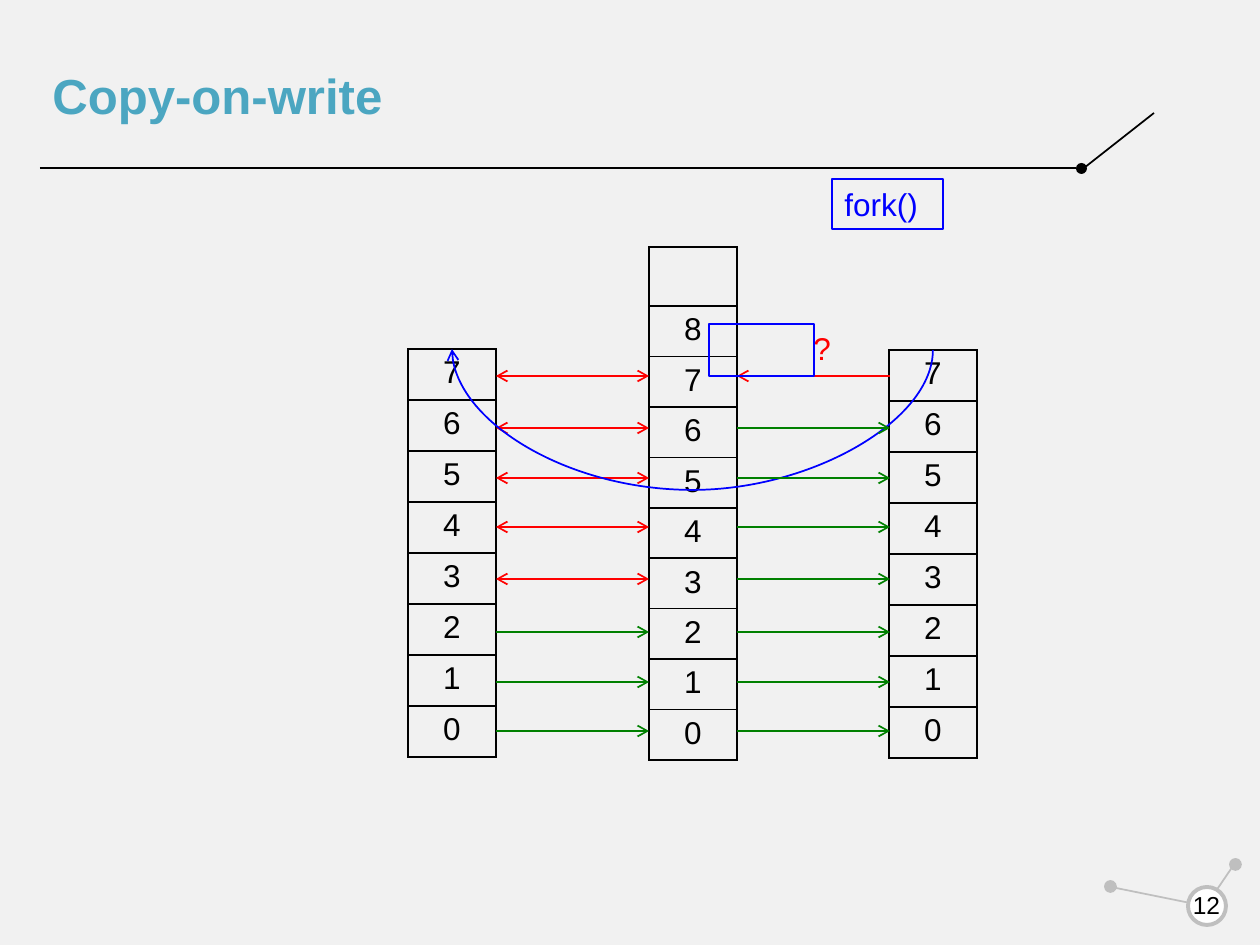
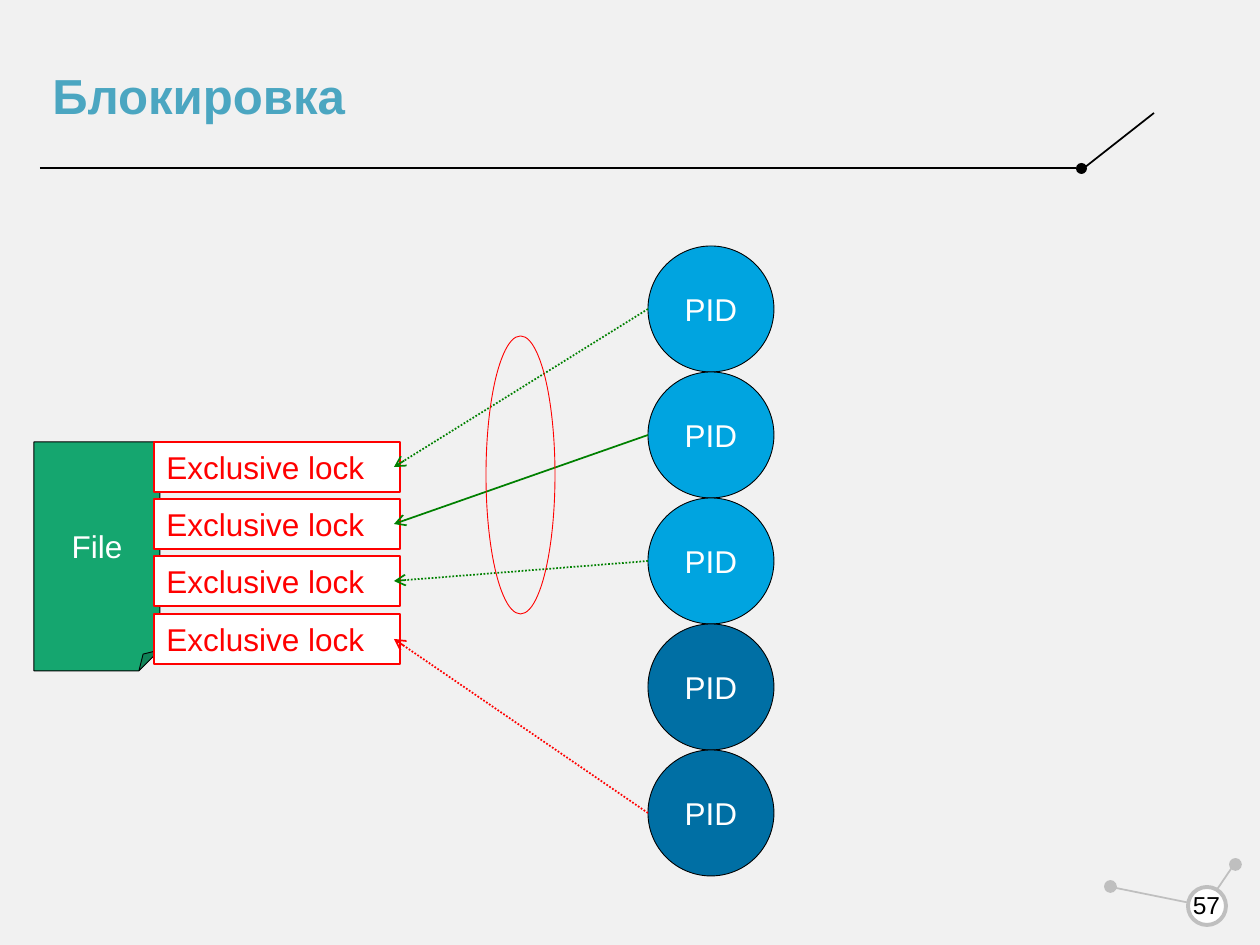
from dataclasses import dataclass

from lxml import etree
from pptx import Presentation
from pptx.dml.color import RGBColor
from pptx.enum.dml import MSO_LINE
from pptx.enum.shapes import MSO_CONNECTOR, MSO_SHAPE
from pptx.enum.text import MSO_ANCHOR, PP_ALIGN
from pptx.oxml.ns import qn
from pptx.shapes.autoshape import Shape
from pptx.shapes.connector import Connector
from pptx.slide import Slide
from pptx.util import Emu, Pt

RECT, OVAL, FOLD = MSO_SHAPE.RECTANGLE, MSO_SHAPE.OVAL, MSO_SHAPE.FOLDED_CORNER
STRAIGHT, CURVE = MSO_CONNECTOR.STRAIGHT, MSO_CONNECTOR.CURVE
LEFT, CENTER = PP_ALIGN.LEFT, PP_ALIGN.CENTER
TOP, MIDDLE = MSO_ANCHOR.TOP, MSO_ANCHOR.MIDDLE
DOT = MSO_LINE.ROUND_DOT

FONT = "Arial"
BLACK, WHITE, GREY, PAPER = "000000", "FFFFFF", "BFBFBF", "F1F1F1"
TEAL, BLUE, RED, GREEN = "4BA6C1", "0000FF", "FF0000", "008000"
LEAF, SKY, NAVY = "15A66F", "00A4E0", "006FA4"
THIN, FINE, EDGE = 0.5, 0.75, 1
PAD = (12.6, 6.3)


@dataclass(frozen=True)
class Box:
    """A place on the slide, in pixels."""
    x: int
    y: int
    w: int
    h: int


@dataclass(frozen=True)
class Words:
    """Text with its look and its place inside a box."""
    text: str
    color: str
    size: float = 18
    bold: bool = False
    align: PP_ALIGN = CENTER
    anchor: MSO_ANCHOR = MIDDLE
    pad: tuple[float, float] = PAD


@dataclass(frozen=True)
class Stack:
    """A one-column table of memory pages, top cell first."""
    box: Box
    pages: list[str]
    spare: int = 0


@dataclass(frozen=True)
class Claim:
    """An arrow from a process to a lock."""
    pid: int
    lock: int
    color: str
    dash: bool


def px(n: float) -> Emu:
    """Turn pixels into EMU."""
    return Emu(round(n * 914400 / 126))


def rgb(code: str) -> RGBColor:
    """Turn a hex string into a colour."""
    return RGBColor.from_string(code)


def spot(box: Box) -> tuple[Emu, Emu, Emu, Emu]:
    """Give the four EMU lengths of a box."""
    return px(box.x), px(box.y), px(box.w), px(box.h)


def write(shape: Shape, words: Words) -> None:
    """Put styled text into a shape."""
    frame = shape.text_frame
    frame.word_wrap = True
    frame.vertical_anchor = words.anchor
    frame.margin_left = frame.margin_right = px(words.pad[0])
    frame.margin_top = frame.margin_bottom = px(words.pad[1])
    style(frame.paragraphs[0], words)


def style(para, words: Words) -> None:
    """Fill a paragraph and set its font."""
    para.text = words.text
    para.alignment = words.align
    para.font.name = FONT
    para.font.size = Pt(words.size)
    para.font.bold = words.bold
    para.font.color.rgb = rgb(words.color)


def label(slide: Slide, box: Box, words: Words) -> None:
    """Add a plain text box."""
    write(slide.shapes.add_textbox(*spot(box)), words)


def draw(slide: Slide, kind: MSO_SHAPE, box: Box, fill: str | None = None,
         line: str | None = None, width: float = EDGE,
         words: Words | None = None) -> Shape:
    """Add a preset shape with optional fill, line and text."""
    shape = slide.shapes.add_shape(kind, *spot(box))
    shape.shadow.inherit = False
    if fill:
        shape.fill.solid()
        shape.fill.fore_color.rgb = rgb(fill)
    else:
        shape.fill.background()
    if line:
        shape.line.color.rgb = rgb(line)
        shape.line.width = Pt(width)
    else:
        shape.line.fill.background()
    if words:
        write(shape, words)
    return shape


def link(slide: Slide, start: tuple[int, int], end: tuple[int, int],
         color: str, head: bool = False, tail: bool = False,
         dash: bool = False, kind: MSO_CONNECTOR = STRAIGHT) -> Connector:
    """Add a connector with optional arrowheads and dots."""
    wire = slide.shapes.add_connector(
        kind, px(start[0]), px(start[1]), px(end[0]), px(end[1]))
    wire.line.color.rgb = rgb(color)
    wire.line.width = Pt(EDGE)
    if dash:
        wire.line.dash_style = DOT
    props = wire.element.spPr
    line = props.find(qn("a:ln"))
    for tag, used in (("a:headEnd", head), ("a:tailEnd", tail)):
        if used:
            etree.SubElement(line, qn(tag), type="arrow")
    etree.SubElement(props, qn("a:effectLst"))
    return wire


def rule(cell) -> None:
    """Give a table cell black borders and no fill."""
    props = cell._tc.get_or_add_tcPr()
    for tag in ("a:lnL", "a:lnR", "a:lnT", "a:lnB"):
        line = etree.SubElement(props, qn(tag), w=str(Pt(EDGE)))
        paint = etree.SubElement(line, qn("a:solidFill"))
        etree.SubElement(paint, qn("a:srgbClr"), val=BLACK)
    cell.fill.background()


def pile(slide: Slide, stack: Stack) -> None:
    """Draw a stack of pages, with a taller spare cell if asked."""
    texts = ([""] if stack.spare else []) + stack.pages
    table = slide.shapes.add_table(len(texts), 1, *spot(stack.box)).table
    table.first_row = table.horz_banding = False
    step = (stack.box.h - stack.spare) / len(stack.pages)
    for i, text in enumerate(texts):
        table.rows[i].height = px(stack.spare if not text else step)
        cell = table.cell(i, 0)
        rule(cell)
        style(cell.text_frame.paragraphs[0], Words(text, BLACK))


def frame(deck, title: str, page: int) -> Slide:
    """Add a slide with its title, rule line and page badge."""
    slide = deck.slides.add_slide(deck.slide_layouts[6])
    slide.background.fill.solid()
    slide.background.fill.fore_color.rgb = rgb(PAPER)
    link(slide, (40, 168), (1076, 168), BLACK)
    draw(slide, OVAL, Box(1076, 163, 11, 11), BLACK)
    link(slide, (1084, 168), (1154, 113), BLACK)
    draw(slide, OVAL, Box(1230, 859, 11, 11), GREY, GREY)
    link(slide, (1233, 866), (1216, 891), GREY)
    draw(slide, OVAL, Box(1105, 881, 11, 11), GREY, GREY)
    link(slide, (1111, 887), (1200, 905), GREY)
    draw(slide, OVAL, Box(1188, 887, 38, 38), WHITE, GREY, 2.25)
    label(slide, Box(40, 35, 1036, 120),
          Words(title, TEAL, 28.1, bold=True, align=LEFT))
    label(slide, Box(1180, 880, 53, 50),
          Words(str(page), BLACK, 14, pad=(0, 0)))
    return slide


def bend(slide: Slide, start: tuple[int, int], end: tuple[int, int],
         drop: int) -> None:
    """Hang a curved arrow between two points at nearly the same height."""
    mid_x, mid_y = (start[0] + end[0]) / 2, (start[1] + end[1]) / 2
    span, rise = start[0] - end[0], start[1] - end[1]
    wire = link(slide, (mid_x + rise / 2, mid_y - span / 2),
                (mid_x - rise / 2, mid_y + span / 2),
                BLUE, tail=True, kind=CURVE)
    props = wire.element.spPr
    props.find(qn("a:xfrm")).set("rot", str(90 * 60000))
    guides = props.find(qn("a:prstGeom")).find(qn("a:avLst"))
    ratio = -drop * 100000 // rise
    etree.SubElement(guides, qn("a:gd"), name="adj1", fmla=f"val {ratio}")


def pages(deck) -> None:
    """Build the slide on memory pages shared after a fork."""
    slide = frame(deck, "Copy-on-write", 12)
    names = [str(n) for n in range(8, -1, -1)]
    for stack in (Stack(Box(649, 247, 88, 511), names, spare=59),
                  Stack(Box(408, 349, 88, 408), names[1:]),
                  Stack(Box(889, 350, 88, 408), names[1:])):
        pile(slide, stack)
    levels = (376, 428, 478, 527, 579, 632, 682, 731)
    for i, y in enumerate(levels):
        both = i < 5
        link(slide, (496, y), (649, y), RED if both else GREEN,
             head=both, tail=True)
    bend(slide, (933, 350), (452, 349), 141)
    draw(slide, RECT, Box(832, 179, 111, 50), line=BLUE, width=FINE,
         words=Words("fork()", BLUE, align=LEFT, anchor=TOP))
    for i, y in enumerate(levels):
        back = i == 0
        link(slide, (737, y), (890, y), RED if back else GREEN,
             head=back, tail=not back)
    label(slide, Box(801, 323, 42, 50),
          Words("?", RED, align=LEFT, anchor=TOP))
    draw(slide, RECT, Box(709, 324, 105, 52), line=BLUE)


def locks(deck) -> None:
    """Build the slide on processes waiting for file locks."""
    slide = frame(deck, "Блокировка", 57)
    draw(slide, FOLD, Box(34, 442, 126, 229), LEAF, BLACK, THIN,
         Words("File", WHITE))
    top, size = 246, 126
    for i, fill in enumerate((SKY, SKY, SKY, NAVY, NAVY)):
        draw(slide, OVAL, Box(648, top + i * size, size, size), fill,
             BLACK, THIN, Words("PID", WHITE))
    rows = [442 + i * 172 // 3 for i in range(4)]
    for y in rows:
        draw(slide, RECT, Box(154, y, 246, 50), WHITE, RED, FINE,
             Words("Exclusive lock", RED, align=LEFT, anchor=TOP))
    for claim in (Claim(0, 0, GREEN, True), Claim(1, 1, GREEN, False),
                  Claim(2, 2, GREEN, True), Claim(4, 3, RED, True)):
        link(slide, (648, top + claim.pid * size + size // 2),
             (394, rows[claim.lock] + 25), claim.color,
             tail=True, dash=claim.dash)
    draw(slide, OVAL, Box(486, 336, 69, 278), line=RED, width=THIN)


def main() -> None:
    """Build and save the deck."""
    deck = Presentation()
    deck.slide_width, deck.slide_height = px(1260), px(945)
    pages(deck)
    locks(deck)
    deck.save("out.pptx")


main()
